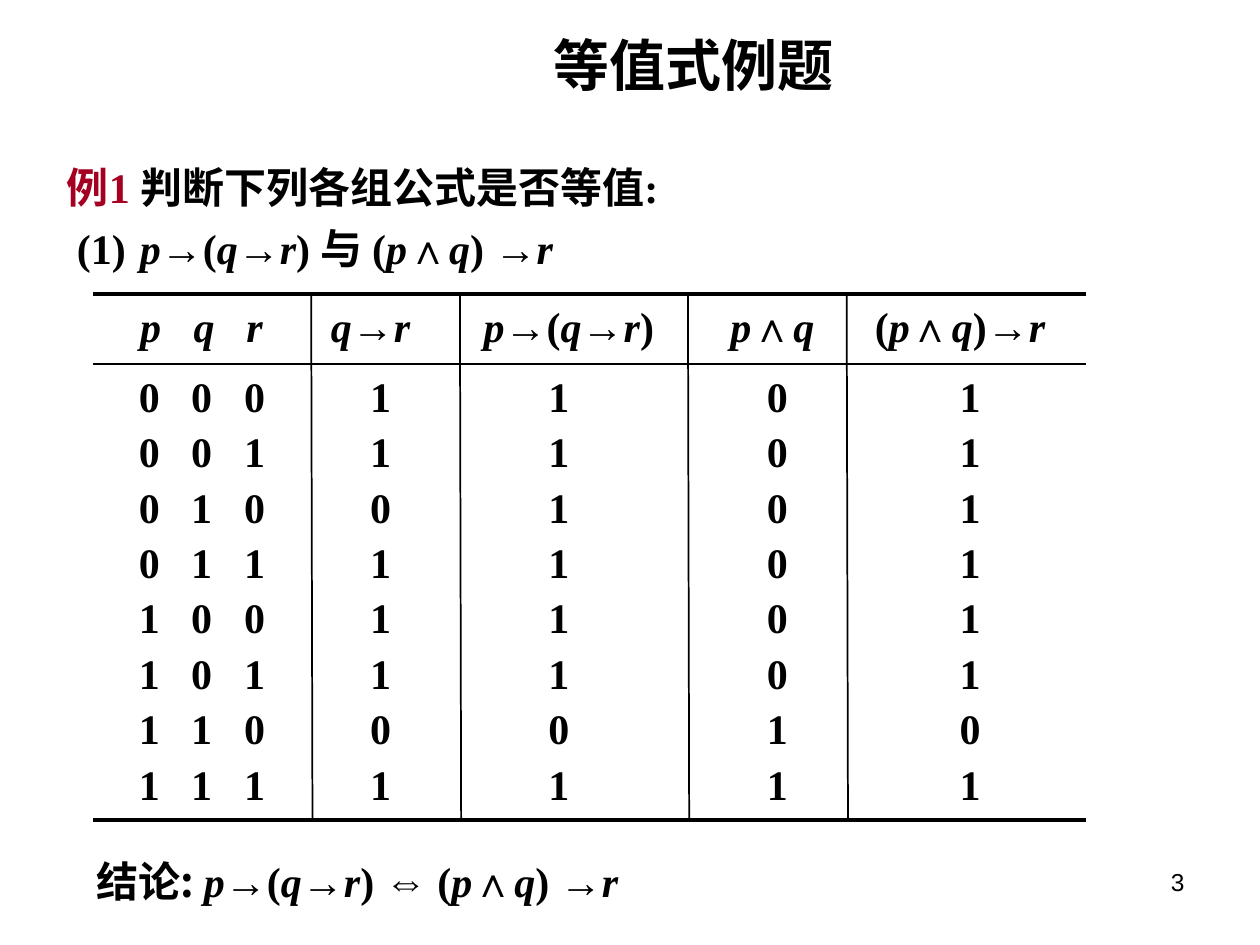
from dataclasses import dataclass
from itertools import accumulate, groupby, product

from lxml import etree
from pptx import Presentation
from pptx.dml.color import RGBColor
from pptx.enum.shapes import MSO_CONNECTOR
from pptx.enum.text import MSO_ANCHOR, PP_ALIGN
from pptx.oxml.ns import qn
from pptx.util import Inches, Pt

CENTER, RIGHT = PP_ALIGN.CENTER, PP_ALIGN.RIGHT
MIDDLE = MSO_ANCHOR.MIDDLE
STRAIGHT = MSO_CONNECTOR.STRAIGHT
NO_TABLE_STYLE = "{2D5ABB26-0587-4C30-8999-92F81FD0307C}"


@dataclass(frozen=True)
class Theme:
    ink: str = "000000"
    accent: str = "A50021"
    serif: str = "Times New Roman"
    sans: str = "Arial"
    cjk: str = "Noto Sans CJK SC"
    title: int = 32
    body: int = 24
    small: int = 14
    rule: float = 1
    heavy_rule: float = 2.25


THEME = Theme()

TABLE_LEFT, TABLE_TOP = 0.74, 2.33
HEADER_HEIGHT, ROW_HEIGHT = 0.61, 0.44
HEADER_RULE, BOTTOM_RULE = 2.89, 6.51
# heading, width, heading shift, value shift, rule on the right
COLUMNS = [
    ("p", 0.65, 0.13, 0.12, False),
    ("q", 0.42, 0.02, 0, False),
    ("r", 0.66, -0.12, -0.12, True),
    ("q→r", 1.18, -0.12, -0.04, True),
    ("p→(q→r)", 1.81, -0.04, -0.12, True),
    ("p∧q", 1.26, 0.04, 0.08, True),
    ("(p∧q)→r", 1.9, -0.05, 0.03, False),
]


def style(r, size, font=THEME.serif, color=THEME.ink, bold=True, italic=False):
    r.font.size = Pt(size)
    r.font.name = font
    r.font.bold = bold
    r.font.italic = italic
    r.font.color.rgb = RGBColor.from_string(color)
    ea = etree.SubElement(r.font._element, qn("a:ea"))
    ea.set("typeface", THEME.cjk)


def add_run(p, text, **look):
    r = p.add_run()
    r.text = text
    style(r, THEME.body, **look)


def char_kind(char):
    if char in "pqr":
        return "variable"
    return "operator" if char in "→∧⇔" else "plain"


def add_formula(p, text):
    """Add text with italic variables and sans-serif logical operators."""
    for kind, chars in groupby(text, char_kind):
        font = THEME.sans if kind == "operator" else THEME.serif
        add_run(p, "".join(chars), font=font, italic=kind == "variable")


def place(sp, left, top, width, height):
    sp.left, sp.top = Inches(left), Inches(top)
    sp.width, sp.height = Inches(width), Inches(height)


def add_textbox(slide, left, top, width, height):
    sp = slide.shapes.add_textbox(*map(Inches, (left, top, width, height)))
    sp.text_frame.word_wrap = True
    return sp.text_frame.paragraphs[0]


def add_rule(slide, x1, y1, x2, y2, width=THEME.rule):
    line = slide.shapes.add_connector(STRAIGHT, *map(Inches, (x1, y1, x2, y2)))
    line.line.color.rgb = RGBColor.from_string(THEME.ink)
    line.line.width = Pt(width)
    etree.SubElement(line._element.spPr, qn("a:effectLst"))


def plain_paragraph(p, indent=0, tab=None):
    """Turn off the bullet and set the left indent and an optional tab stop."""
    pPr = p._p.get_or_add_pPr()
    pPr.set("marL", str(Inches(indent)))
    pPr.set("indent", "0")
    etree.SubElement(pPr, qn("a:buNone"))
    if tab:
        stops = etree.SubElement(pPr, qn("a:tabLst"))
        etree.SubElement(stops, qn("a:tab"), pos=str(Inches(tab)), algn="l")


def fill_cell(cell, text, shift, margin_bottom):
    cell.fill.background()
    cell.vertical_anchor = MIDDLE
    cell.margin_top = 0
    cell.margin_bottom = Inches(margin_bottom)
    cell.margin_left = Inches(max(0, 2 * shift))
    cell.margin_right = Inches(max(0, -2 * shift))
    p = cell.text_frame.paragraphs[0]
    p.alignment = CENTER
    add_formula(p, text)


def truth_rows():
    """Evaluate each column of the truth table for all p, q, r."""
    for p, q, r in product((0, 1), repeat=3):
        q_r = int(not q or r)
        p_and_q = int(p and q)
        yield p, q, r, q_r, int(not p or q_r), p_and_q, int(not p_and_q or r)


def add_truth_table(slide):
    rows = [[c[0] for c in COLUMNS], *truth_rows()]
    width = sum(c[1] for c in COLUMNS)
    height = HEADER_HEIGHT + ROW_HEIGHT * (len(rows) - 1)
    frame = slide.shapes.add_table(
        len(rows), len(COLUMNS),
        *map(Inches, (TABLE_LEFT, TABLE_TOP, width, height)))
    table = frame.table
    table.first_row = table.horz_banding = False
    table._tbl.tblPr.find(qn("a:tableStyleId")).text = NO_TABLE_STYLE
    for column, (_, col_width, *_) in zip(table.columns, COLUMNS):
        column.width = Inches(col_width)
    for i, values in enumerate(rows):
        table.rows[i].height = Inches(ROW_HEIGHT if i else HEADER_HEIGHT)
        for j, (_, _, head_shift, value_shift, _) in enumerate(COLUMNS):
            fill_cell(table.cell(i, j), str(values[j]),
                      value_shift if i else head_shift, 0 if i else 0.06)


def add_table_rules(slide):
    edges = list(accumulate((c[1] for c in COLUMNS), initial=TABLE_LEFT))
    for y, width in ((TABLE_TOP, THEME.heavy_rule), (HEADER_RULE, THEME.rule),
                     (BOTTOM_RULE, THEME.heavy_rule)):
        add_rule(slide, TABLE_LEFT, y, edges[-1], y, width)
    for x, (*_, ruled) in zip(edges[1:], COLUMNS):
        if ruled:
            add_rule(slide, x, TABLE_TOP, x + 0.01, BOTTOM_RULE)


def add_title(slide):
    title = slide.shapes.title
    place(title, 2.16, 0.28, 6.69, 0.46)
    title.text_frame.text = "等值式例题"
    title.text_frame.vertical_anchor = MIDDLE
    p = title.text_frame.paragraphs[0]
    p.alignment = CENTER
    style(p.runs[0], THEME.title, THEME.sans)


def add_question(slide):
    body = slide.placeholders[1]
    place(body, 0.43, 1.23, 7.73, 1.1)
    tf = body.text_frame
    p = tf.paragraphs[0]
    plain_paragraph(p)
    p.space_before = Pt(0)
    add_run(p, "例1 ", color=THEME.accent)
    add_formula(p, "判断下列各组公式是否等值:")
    p = tf.add_paragraph()
    plain_paragraph(p, indent=0.08, tab=0.7)
    p.space_before = Pt(6)
    add_formula(p, "(1)\tp→(q→r) 与 (p∧q) →r")


def add_conclusion(slide):
    p = add_textbox(slide, 0.67, 6.74, 5.29, 0.56)
    add_run(p, "结论: ", font=THEME.cjk)
    add_formula(p, "p→(q→r) ⇔ (p∧q) →r")


def add_page_number(slide):
    p = add_textbox(slide, 7.17, 6.83, 2.33, 0.52)
    p.text = "3"
    p.alignment = RIGHT
    style(p.runs[0], THEME.small, THEME.sans, bold=False)


def main():
    prs = Presentation()
    prs.slide_width, prs.slide_height = Inches(10), Inches(7.5)
    slide = prs.slides.add_slide(prs.slide_layouts[1])
    add_title(slide)
    add_question(slide)
    add_truth_table(slide)
    add_table_rules(slide)
    add_conclusion(slide)
    add_page_number(slide)
    prs.save("out.pptx")


if __name__ == "__main__":
    main()
